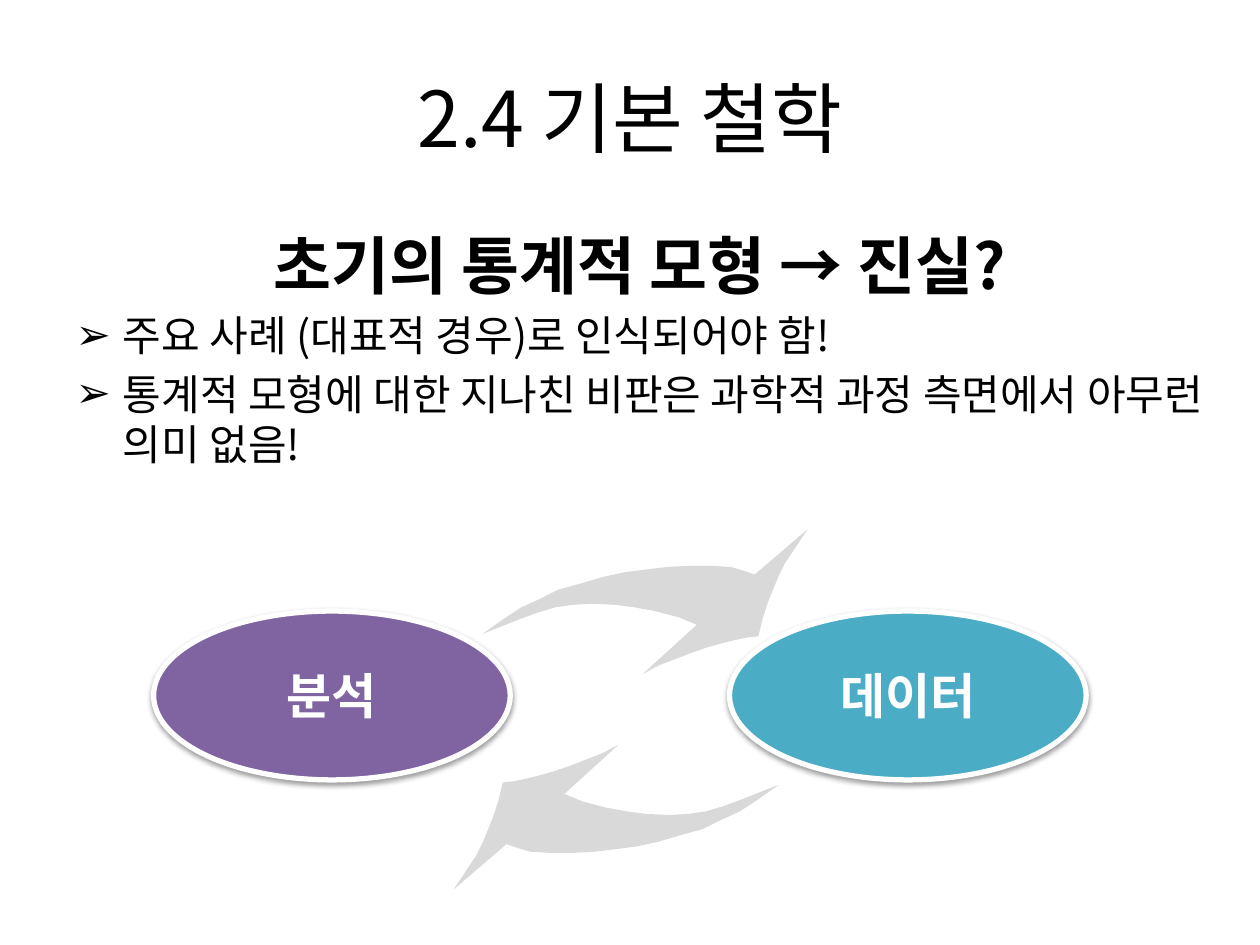
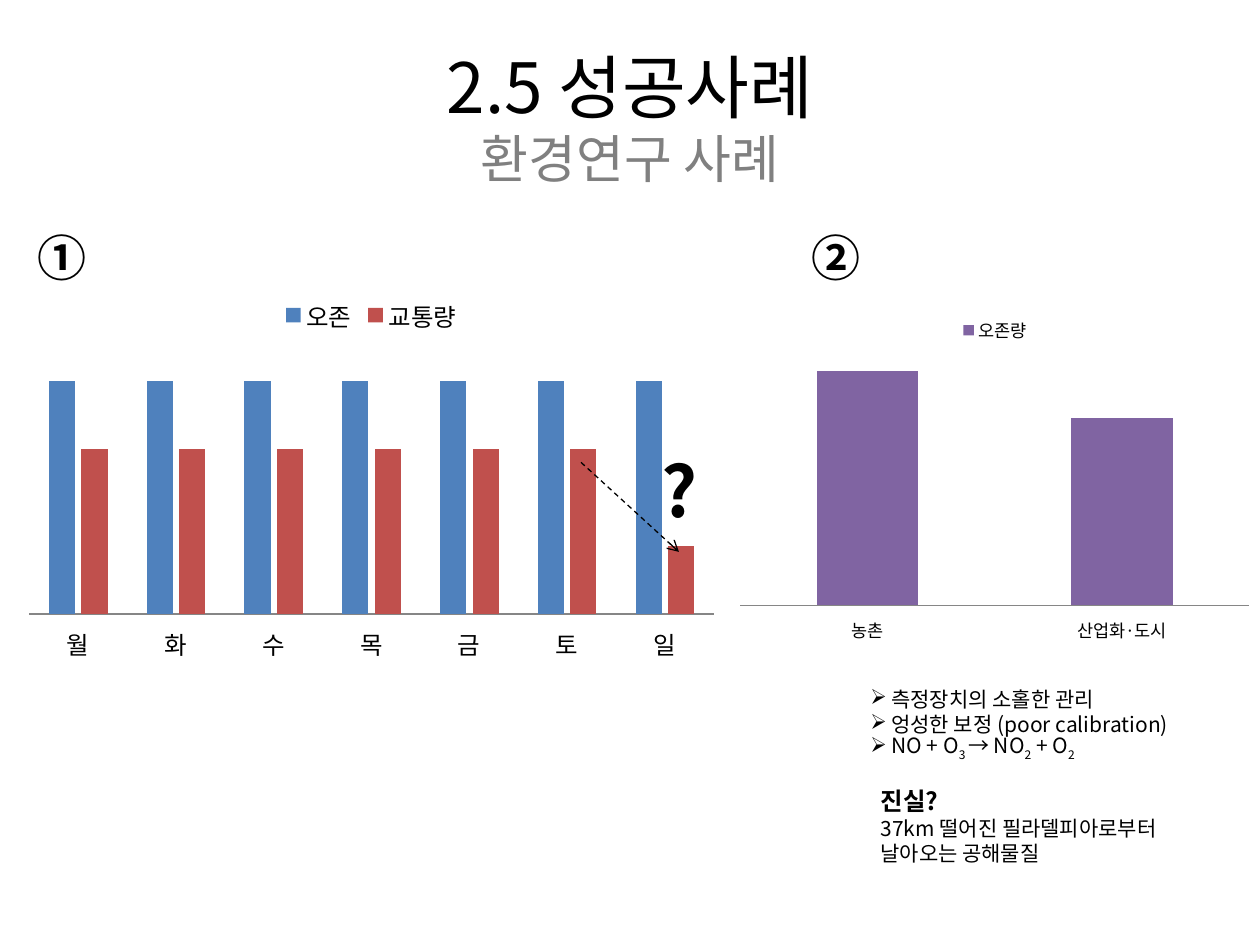
from lxml.etree import SubElement as Sub
from pptx import Presentation
from pptx.chart.data import CategoryChartData as Data
from pptx.dml.color import RGBColor as Rgb
from pptx.enum.chart import XL_CHART_TYPE as Kind
from pptx.enum.chart import XL_LEGEND_POSITION as Spot
from pptx.enum.chart import XL_TICK_LABEL_POSITION as Label
from pptx.enum.chart import XL_TICK_MARK as Tick
from pptx.enum.dml import MSO_LINE as Dash
from pptx.enum.shapes import MSO_CONNECTOR as Link
from pptx.enum.shapes import MSO_SHAPE as Form
from pptx.enum.text import MSO_ANCHOR as Anchor
from pptx.enum.text import MSO_AUTO_SIZE as Fit
from pptx.enum.text import PP_ALIGN as Align
from pptx.oxml.ns import qn
from pptx.util import Pt

FACE = "Noto Sans CJK KR"
LEAD = 1.19
HUE = {
    "black": "000000", "white": "FFFFFF", "gray": "808080", "axis": "868686",
    "pale": "D9D9D9", "blue": "4F81BD", "red": "C0504D",
    "violet": "8064A2", "teal": "4BACC6",
}
COLOR = {name: Rgb.from_string(code) for name, code in HUE.items()}


def style(par, text, size, bold=False, color="black"):
    """Write a paragraph and set its font and line pitch."""
    if text:
        par.add_run().text = text
    font = par.font
    font.size, font.bold = Pt(size), bold
    font.color.rgb = COLOR[color]
    font.name = FACE
    par.line_spacing = Pt(round(size * LEAD, 2))


def mark(par, indent):
    """Give a paragraph an arrow bullet and a hanging indent."""
    prop = par._p.get_or_add_pPr()
    prop.set("marL", str(Pt(indent)))
    prop.set("indent", str(-Pt(indent)))
    Sub(prop, qn("a:buChar")).set("char", "➢")


deck = Presentation()
deck.slide_width, deck.slide_height = Pt(720), Pt(540)
idea = deck.slides.add_slide(deck.slide_layouts[1])
case = deck.slides.add_slide(deck.slide_layouts[5])

# Titles
for slide, text, size in ((idea, "2.4 기본 철학", 44), (case, "2.5 성공사례", 39.6)):
    title = slide.shapes.title
    title.left, title.top, title.width, title.height = Pt(36), Pt(21.6), Pt(648), Pt(90)
    frame = title.text_frame
    frame.auto_size, frame.vertical_anchor = Fit.NONE, Anchor.MIDDLE
    head = frame.paragraphs[0]
    style(head, text, size)
    head.alignment, head.line_spacing = Align.CENTER, None
head.add_line_break()
run = head.add_run()
run.text = "환경연구 사례"
run.font.size, run.font.color.rgb = Pt(29.7), COLOR["gray"]

# Slide 1: question and remarks
body = idea.placeholders[1]
body.left, body.top, body.width, body.height = Pt(36), Pt(126), Pt(658.8), Pt(356.4)
frame = body.text_frame
frame.auto_size = Fit.NONE
lead = frame.paragraphs[0]
lead.alignment = Align.CENTER
Sub(lead._p.get_or_add_pPr(), qn("a:buNone"))
style(lead, "초기의 통계적 모형 → 진실?", 36, True)
for text in (
    "주요 사례 (대표적 경우)로 인식되어야 함!",
    "통계적 모형에 대한 지나친 비판은 과학적 과정 측면에서 아무런 의미 없음!",
):
    par = frame.add_paragraph()
    mark(par, 27)
    style(par, text, 24)

# Slide 1: two ovals with a soft shadow
for left, text, fill in ((87.8, "분석", "violet"), (416.9, "데이터", "teal")):
    oval = idea.shapes.add_shape(Form.OVAL, Pt(left), Pt(349.2), Pt(203.8), Pt(96.5))
    oval.fill.solid()
    oval.fill.fore_color.rgb = COLOR[fill]
    oval.line.color.rgb, oval.line.width = COLOR["white"], Pt(3)
    oval.shadow.inherit = False
    shade = Sub(oval._element.spPr.find(qn("a:effectLst")), qn("a:outerShdw"),
                blurRad=str(Pt(3.1)), dist=str(Pt(1.6)), dir="5400000", rotWithShape="0")
    tone = Sub(shade, qn("a:srgbClr"), val=HUE["black"])
    Sub(tone, qn("a:alpha"), val="38000")
    oval.text_frame.vertical_anchor = Anchor.MIDDLE
    par = oval.text_frame.paragraphs[0]
    par.alignment = Align.CENTER
    style(par, text, 28, True, "white")

# Slide 1: curved arrow, and the same turned by half a circle
upper = [
    (275.8, 362.2), (288, 353.5), (298, 347), (309, 342), (319, 337), (332, 333.4),
    (344.2, 329.8), (357, 327), (369.4, 325.4), (381, 324), (393.8, 323.3),
    (406, 323.3), (417.6, 324), (422.6, 325.4), (431.3, 328.3), (461.5, 302.4),
    (454.3, 313.2), (448.6, 321.8), (445, 329), (442, 336.2), (438.5, 345),
    (435.6, 354.2), (433.4, 363.6), (427, 364.3), (419.8, 365.8), (411, 368),
    (404, 370), (395.3, 373), (388, 375.8), (376.6, 380.2), (367.2, 385.2),
    (398.2, 357), (388, 352.8), (374.4, 349.2), (362.2, 347), (351.4, 345.6),
    (337.7, 345), (327.6, 345.6), (317.5, 347), (307.4, 350), (296, 354.2),
    (285, 358.6),
]
lower = [(720.7 - x, 810.7 - y) for x, y in upper]
for spots in (upper, lower):
    spots = [(Pt(x), Pt(y)) for x, y in spots]
    pen = idea.shapes.build_freeform(*spots[0])
    pen.add_line_segments(spots[1:])
    arrow = pen.convert_to_shape()
    arrow.fill.solid()
    arrow.fill.fore_color.rgb = COLOR["pale"]
    arrow.line.fill.background()
    arrow.shadow.inherit = False

# Slide 2: column charts, each with its area and its plot (x, y, w, h in shares)
week = ("월", "화", "수", "목", "금", "토", "일")
plans = (
    ((8.6, 162, 407.5, 216), (0.02, 0.26, 0.96, 0.62), 14, week,
     (("오존", [100] * 7, "blue"), ("교통량", [71] * 6 + [29], "red"))),
    ((416.9, 173.5, 303.1, 193.7), (0.02, 0.2, 0.96, 0.69), 10, ("농촌", "산업화·도시"),
     (("오존량", [100, 80], "violet"),)),
)
roots = [idea._element, case._element]
for area, plot, size, names, rows in plans:
    data = Data()
    data.categories = names
    for name, vals, fill in rows:
        data.add_series(name, vals)
    chart = case.shapes.add_chart(Kind.COLUMN_CLUSTERED, *map(Pt, area), data).chart
    chart.has_title = False
    chart.font.size, chart.font.color.rgb = Pt(size), COLOR["black"]
    chart.font.name = FACE
    chart.has_legend = True
    chart.legend.position = Spot.TOP
    chart.legend.include_in_layout = False
    bars = chart.plots[0]
    bars.gap_width, bars.overlap, bars.vary_by_categories = 150, -25, False
    for bar, (name, vals, fill) in zip(bars.series, rows):
        bar.format.fill.solid()
        bar.format.fill.fore_color.rgb = COLOR[fill]
    side, base = chart.value_axis, chart.category_axis
    side.minimum_scale, side.maximum_scale = 0, 100
    side.has_major_gridlines = side.visible = False
    base.major_tick_mark = base.minor_tick_mark = Tick.NONE
    base.tick_label_position = Label.LOW
    base.format.line.color.rgb = COLOR["axis"]

    # Fixed plot area
    field = chart._chartSpace.find(".//" + qn("c:plotArea"))
    for old in field.findall(qn("c:layout")):
        field.remove(old)
    place = Sub(field, qn("c:layout"))
    field.insert(0, place)
    place = Sub(place, qn("c:manualLayout"))
    Sub(place, qn("c:layoutTarget"), val="inner")
    for key in ("xMode", "yMode"):
        Sub(place, qn("c:" + key), val="edge")
    for key, share in zip("xywh", plot):
        Sub(place, qn("c:" + key), val=str(share))
    roots.append(chart._chartSpace)

# Slide 2: dashed arrow down to Sunday
drop = case.shapes.add_connector(Link.STRAIGHT, Pt(332), Pt(264.2), Pt(388), Pt(315.4))
drop.line.color.rgb, drop.line.width = COLOR["black"], Pt(0.75)
drop.line.dash_style = Dash.DASH
Sub(drop.line._get_or_add_ln(), qn("a:tailEnd"), type="arrow")
Sub(drop._element.spPr, qn("a:effectLst"))

# Slide 2: text boxes (area, wrap, lines of text, size, bold, bullet)
notes = (
    ((370.8, 252.7, 73.4, 55.4), True, (("?", 40, True, False),)),
    ((14.4, 126.7, 108, 41), True, (("①", 28, True, False),)),
    ((456.5, 126.7, 41, 41), False, (("②", 28, True, False),)),
    ((490.3, 388.8, 198.7, 51.1), True, (
        ("측정장치의 소홀한 관리", 12, False, True),
        ("엉성한 보정 (poor calibration)", 12, False, True),
        ("NO + O|3 |→ NO|2| + O|2", 12, False, True))),
    ((496.1, 445.7, 187.2, 53.3), True, (
        ("진실?", 14, True, False),
        ("37km 떨어진 필라델피아로부터 날아오는 공해물질", 12, False, False))),
)
for area, wrap, lines in notes:
    frame = case.shapes.add_textbox(*map(Pt, area)).text_frame
    frame.word_wrap, frame.auto_size = wrap, Fit.SHAPE_TO_FIT_TEXT
    for num, (text, size, bold, dot) in enumerate(lines):
        par = frame.add_paragraph() if num else frame.paragraphs[0]
        if dot:
            mark(par, 12)
        style(par, "", size, bold)
        # Every second part of a formula is a subscript
        for pos, part in enumerate(text.split("|")):
            run = par.add_run()
            run.text = part
            if pos % 2:
                run._r.get_or_add_rPr().set("baseline", "-25000")

# Same face for Korean letters
for root in roots:
    for latin in list(root.iter(qn("a:latin"))):
        east = Sub(latin.getparent(), qn("a:ea"), typeface=FACE)
        latin.addnext(east)

deck.save("out.pptx")
